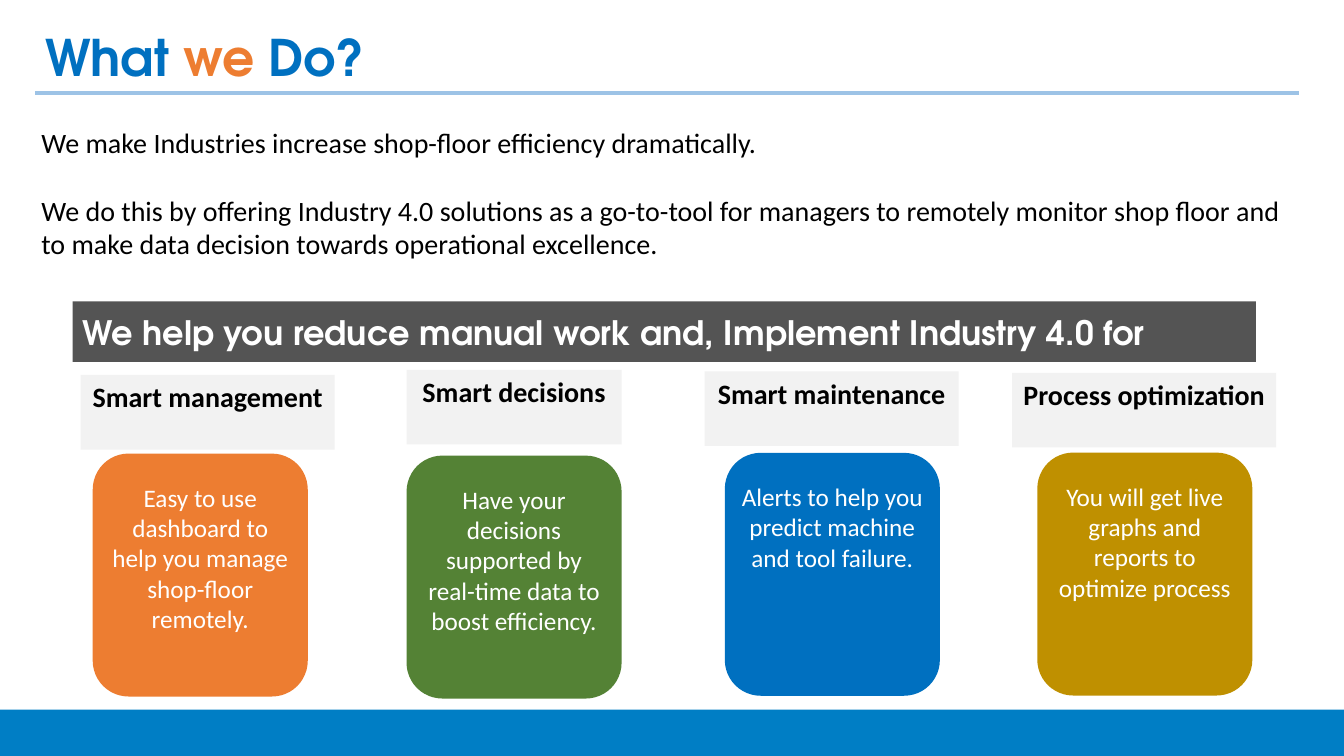
from dataclasses import dataclass

from lxml.etree import SubElement
from pptx import Presentation
from pptx.dml.color import RGBColor
from pptx.enum.shapes import MSO_CONNECTOR as Connector, MSO_SHAPE as Shape
from pptx.enum.text import MSO_ANCHOR as Anchor, PP_ALIGN as Align
from pptx.oxml.ns import qn
from pptx.util import Inches, Pt


@dataclass(frozen=True)
class Theme:
    heading_font: str = "TeX Gyre Adventor"
    body_font: str = "Calibri"
    title_size: int = 36
    banner_size: int = 24
    body_size: int = 20
    card_size: int = 18
    blue: str = "0070C0"
    orange: str = "ED7D31"
    green: str = "548235"
    gold: str = "BF9000"
    rule: str = "9DC3E6"
    footer: str = "007EC5"
    banner: str = "545454"
    label: str = "F2F2F2"
    black: str = "000000"
    white: str = "FFFFFF"


def color(code):
    return RGBColor.from_string(code)


def write(box, paragraphs, font, size, ink, bold=False, align=Align.LEFT,
          anchor=Anchor.TOP, inset=3.6, top_inset=None, gap=0):
    """Fill a box with paragraphs, each a list of (text, colour or None) spans."""
    frame = box.text_frame
    frame.word_wrap = True
    frame.vertical_anchor = anchor
    frame.margin_left = frame.margin_right = frame.margin_bottom = Pt(inset)
    frame.margin_top = Pt(inset if top_inset is None else top_inset)
    for index, spans in enumerate(paragraphs):
        para = frame.add_paragraph() if index else frame.paragraphs[0]
        para.alignment = align
        para.space_before = Pt(gap if index else 0)
        for text, span_ink in spans:
            span = para.add_run()
            span.text = text
            span.font.name = font
            span.font.size = Pt(size)
            span.font.bold = bold
            span.font.color.rgb = color(span_ink or ink)


class Page:
    """A slide laid out on a grid of 100 columns by 100 rows."""

    def __init__(self, deck, theme):
        self.theme = theme
        self.column = deck.slide_width / 100
        self.row = deck.slide_height / 100
        self.shapes = deck.slides.add_slide(deck.slide_layouts[6]).shapes

    def place(self, left, top, width, height):
        return (round(left * self.column), round(top * self.row),
                round(width * self.column), round(height * self.row))

    def panel(self, area, fill, kind=Shape.RECTANGLE):
        box = self.shapes.add_shape(kind, *self.place(*area))
        box.shadow.inherit = False
        box.fill.solid()
        box.fill.fore_color.rgb = color(fill)
        box.line.fill.background()
        return box

    def text(self, area, paragraphs, **style):
        write(self.shapes.add_textbox(*self.place(*area)), paragraphs, **style)

    def rule(self, left, top, width):
        x, y, length, _ = self.place(left, top, width, 0)
        line = self.shapes.add_connector(Connector.STRAIGHT, x, y, x + length, y)
        line.line.color.rgb = color(self.theme.rule)
        line.line.width = Pt(3)
        SubElement(line._element.spPr, qn("a:effectLst"))

    def banner(self, area, text):
        theme = self.theme
        write(self.panel(area, theme.banner), [[(text, None)]],
              font=theme.heading_font, size=theme.banner_size, ink=theme.white,
              bold=True, anchor=Anchor.MIDDLE, inset=7.2)

    def label(self, area, text):
        theme = self.theme
        write(self.panel(area, theme.label), [[(text, None)]],
              font=theme.body_font, size=theme.body_size, ink=theme.black,
              bold=True, align=Align.CENTER)

    def card(self, area, text, fill):
        theme = self.theme
        write(self.panel(area, fill, Shape.ROUNDED_RECTANGLE), [[(text, None)]],
              font=theme.body_font, size=theme.card_size, ink=theme.white,
              align=Align.CENTER, top_inset=13)


def main():
    deck = Presentation()
    deck.slide_width, deck.slide_height = Inches(13.33), Inches(7.5)
    theme = Theme()
    page = Page(deck, theme)

    page.panel((0, 93.87, 100, 6.13), theme.footer)
    page.rule(2.63, 12.27, 94.05)
    page.text((2.63, 2, 44.55, 10.8),
              [[("What ", None), ("we ", theme.orange), ("Do?", None)]],
              font=theme.heading_font, size=theme.title_size, ink=theme.blue,
              bold=True, anchor=Anchor.MIDDLE, inset=7.2)
    page.text((2.7, 16, 94, 19.33), [
        [("We make Industries increase shop-floor efficiency dramatically.", None)],
        [("We do this by offering Industry 4.0 solutions as a go-to-tool for "
          "managers to remotely monitor shop floor and to make data decision "
          "towards operational excellence.", None)],
    ], font=theme.body_font, size=theme.body_size, ink=theme.black, gap=24)
    page.banner((5.4, 39.87, 88.05, 8),
                "We help you reduce manual work and, Implement Industry 4.0 for")

    card_width, card_height, label_height = 16, 32.13, 9.87
    # label left, top and width; card left and top; heading, text, fill
    benefits = [
        (6, 49.6, 18.9, 6.9, 60, "Smart management",
         "Easy to use dashboard to help you manage shop-floor remotely.",
         theme.orange),
        (30.25, 48.93, 16, 30.25, 60.27, "Smart decisions",
         "Have your decisions supported by real-time data to boost efficiency.",
         theme.green),
        (52.43, 49.13, 18.9, 53.93, 59.9, "Smart maintenance",
         "Alerts to help you predict machine and tool failure.", theme.blue),
        (75.3, 49.33, 19.65, 77.18, 59.87, "Process optimization",
         "You will get live graphs and reports to optimize process", theme.gold),
    ]
    for left, top, width, card_left, card_top, heading, text, fill in benefits:
        page.label((left, top, width, label_height), heading)
        page.card((card_left, card_top, card_width, card_height), text, fill)

    deck.save("out.pptx")


if __name__ == "__main__":
    main()
